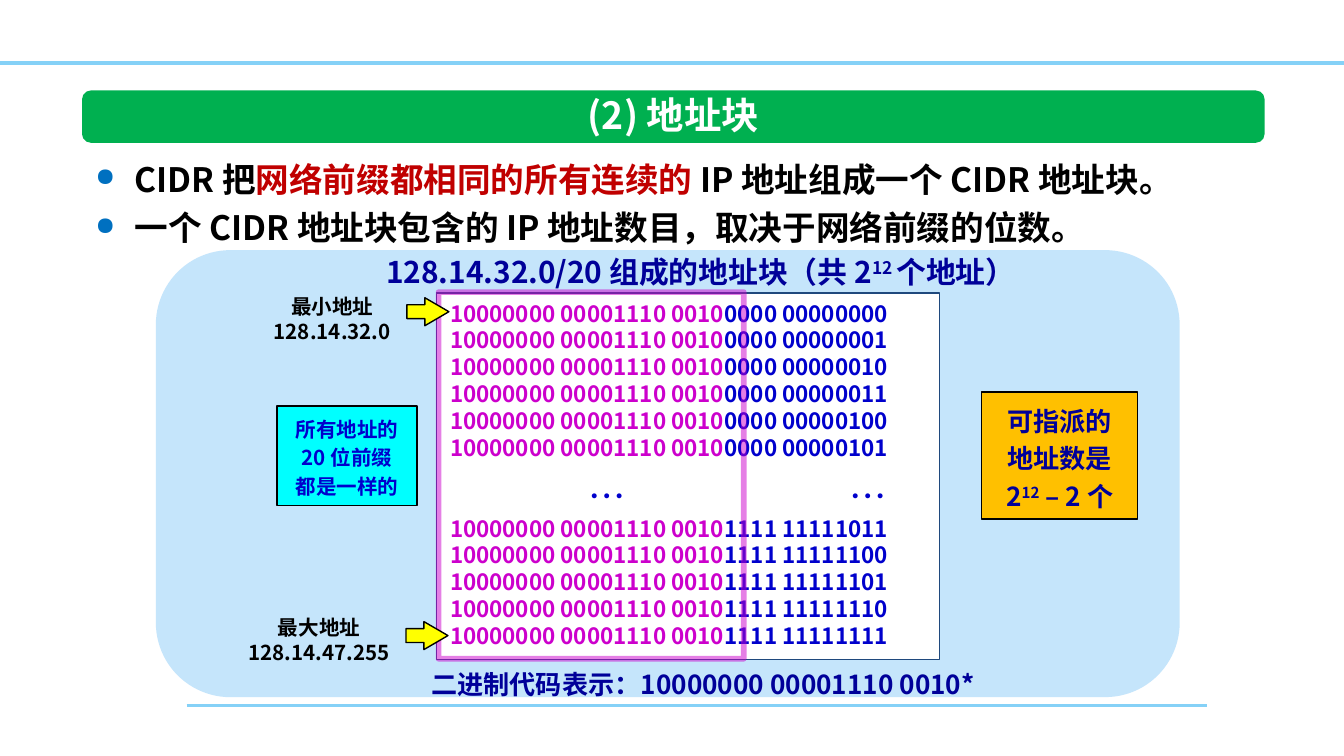
from lxml import etree
from pptx import Presentation
from pptx import util as u
from pptx.dml.color import RGBColor
from pptx.enum import shapes, text
from pptx.oxml.ns import qn

Pt = u.Pt
FONT = "Noto Sans CJK SC"
WHITE = RGBColor(0xFF, 0xFF, 0xFF)
BLACK = RGBColor(0x00, 0x00, 0x00)
SKY = RGBColor(0x85, 0xD1, 0xF7)
PALE = RGBColor(0xC5, 0xE5, 0xFB)
GREEN = RGBColor(0x00, 0xB0, 0x50)
RED = RGBColor(0xC0, 0x00, 0x00)
NAVY = RGBColor(0x00, 0x00, 0x99)
BLUE = RGBColor(0x00, 0x00, 0xCC)
AZURE = RGBColor(0x00, 0x70, 0xC0)
SLATE = RGBColor(0x1F, 0x49, 0x7D)
PURPLE = RGBColor(0xCC, 0x00, 0xCC)
CYAN = RGBColor(0x00, 0xFF, 0xFF)
YELLOW = RGBColor(0xFF, 0xFF, 0x00)
ORANGE = RGBColor(0xFF, 0xC0, 0x00)
CENTER = text.PP_ALIGN.CENTER
LEFT = text.PP_ALIGN.LEFT
KIND = shapes.MSO_SHAPE

deck = Presentation()
deck.slide_width, deck.slide_height = Pt(720), Pt(405)
page = deck.slides.add_slide(deck.slide_layouts[6])


def add_block(kind, left, top, width, height, fill=None, line=None, weight=0.75):
    """Add a preset shape; with no fill or line colour that part stays empty."""
    block = page.shapes.add_shape(kind, Pt(left), Pt(top), Pt(width), Pt(height))
    block.shadow.inherit = False
    if fill is None:
        block.fill.background()
    else:
        block.fill.solid()
        block.fill.fore_color.rgb = fill
    if line is None:
        block.line.fill.background()
    else:
        block.line.color.rgb = line
        block.line.width = Pt(weight)
    return block


def write(paras, box=None, at=None, size=12, color=BLACK, bold=True, align=CENTER,
          spacing=None, wrap=True, bullet=None, anchor=text.MSO_ANCHOR.TOP):
    """Fill box, or a new text box at the given place.

    Each paragraph is a list of (words, colour or None, superscript) runs.
    """
    if box is None:
        box = page.shapes.add_textbox(*map(Pt, at))
    frame = box.text_frame
    frame.word_wrap = wrap
    frame.vertical_anchor = anchor
    for index, runs in enumerate(paras):
        para = frame.paragraphs[0] if index == 0 else frame.add_paragraph()
        para.alignment = align
        para.line_spacing = Pt(spacing or size * 1.2)
        if bullet:
            props = para._p.get_or_add_pPr()
            props.set("marL", str(Pt(21)))
            props.set("indent", str(-Pt(21)))
            tint = etree.SubElement(props, qn("a:buClr"))
            etree.SubElement(tint, qn("a:srgbClr"), val=str(bullet))
            etree.SubElement(props, qn("a:buSzPct"), val="75000")
            etree.SubElement(props, qn("a:buChar"), char="●")
        for words, tone, raised in runs:
            span = para.add_run()
            span.text = words
            font = span.font
            font.size, font.bold, font.name = Pt(size), bold, FONT
            font.color.rgb = tone or color
            etree.SubElement(font._element, qn("a:ea"), typeface=FONT)
            if raised:
                font._element.set("baseline", "30000")
    return box


# Page rules
for left, right, y, weight in [(100, 646.5, 378, 1.5), (0, 720, 33.8, 2)]:
    rule = page.shapes.add_connector(
        shapes.MSO_CONNECTOR.STRAIGHT, Pt(left), Pt(y), Pt(right), Pt(y))
    rule.line.color.rgb = SKY
    rule.line.width = Pt(weight)
    etree.SubElement(rule._element.spPr, qn("a:effectLst"))

# Heading and bullets
add_block(KIND.ROUNDED_RECTANGLE, 44, 48.5, 633.5, 28, GREEN)
write([[("(2) 地址块", None, False)]], at=(290.75, 46, 140, 31.5), size=20, color=WHITE)
write([[("CIDR 把", None, False), ("网络前缀都相同的所有连续的 ", RED, False),
        ("IP 地址组成一个 CIDR 地址块。", None, False)],
       [("一个 CIDR 地址块包含的 IP 地址数目，取决于网络前缀的位数。", None, False)]],
      at=(44, 77, 653, 61), size=18, align=LEFT, spacing=26, bullet=AZURE)

# Address block panel
add_block(KIND.ROUNDED_RECTANGLE, 83.5, 134, 548.5, 239.5, PALE)
write([[("128.14.32.0/20 组成的地址块（共 2", None, False), ("12 ", None, True),
        ("个地址）", None, False)]],
      at=(178, 130.5, 395, 27.5), size=16, color=NAVY, spacing=21)

# First and last addresses in binary, with a gap between the two groups
PREFIX = "10000000 00001110 0010"
first_hosts, last_hosts = range(6), range(4091, 4096)
rows = []
for host in [*first_hosts, *last_hosts]:
    bits = format(host, "012b")
    rows.append([(PREFIX, PURPLE, False), (f"{bits[:4]} {bits[4:]}", BLUE, False)])
address_list = add_block(KIND.RECTANGLE, 234, 157, 269.5, 196.5, WHITE, SLATE)
write(rows, box=address_list, align=LEFT)
address_list.text_frame.paragraphs[len(first_hosts)].space_before = Pt(28.8)
for left in (448, 308):
    write([[("…", None, False)]], at=(left, 250, 34.5, 31.5),
          size=20, color=BLUE, bold=False, align=LEFT, wrap=False)

prefix_frame = add_block(KIND.RECTANGLE, 235, 156.5, 163.5, 196.5, line=PURPLE, weight=3)
frame_color = prefix_frame.line._ln.find(".//" + qn("a:srgbClr"))
etree.SubElement(frame_color, qn("a:alpha"), val="50000")

# Notes on both sides
prefix_note = add_block(KIND.RECTANGLE, 148.5, 217.5, 75, 53.5, CYAN, BLACK)
write([[("所有地址的 20 位前缀", None, False)], [("都是一样的", None, False)]],
      box=prefix_note, size=11, color=BLUE, spacing=15.2, anchor=text.MSO_ANCHOR.MIDDLE)
count_note = add_block(KIND.RECTANGLE, 526, 210, 83.5, 68, ORANGE, BLACK)
write([[("可指派的地址数是2", None, False), ("12", None, True), (" – 2 个", None, False)]],
      box=count_note, size=14, color=NAVY, spacing=20, anchor=text.MSO_ANCHOR.MIDDLE)

# Lowest and highest address labels with arrows
for name, address, label_at, arrow_at in [
        ("最小地址", "128.14.32.0", (130, 154, 96, 34), (218, 159.5)),
        ("最大地址", "128.14.47.255", (114.5, 326, 113, 34), (217.5, 333))]:
    write([[(name, None, False)], [(address, None, False)]], at=label_at, size=11)
    arrow = add_block(KIND.RIGHT_ARROW, *arrow_at, 22.5, 15, YELLOW, BLACK)
    arrow.adjustments[1] = 0.86

write([[(f"二进制代码表示：{PREFIX}*", None, False)]],
      at=(207.5, 353, 338.5, 26), size=14, color=NAVY, spacing=18.5)

deck.save("out.pptx")
